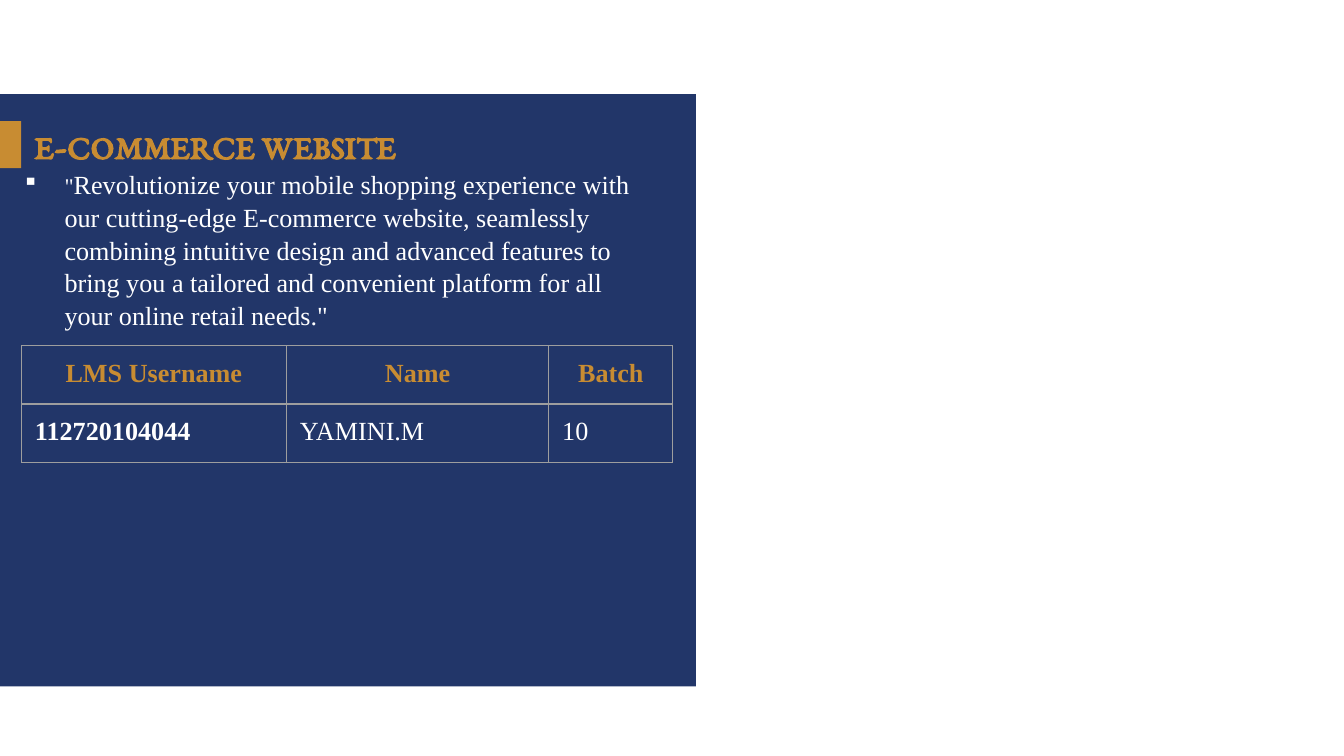
import pptx
import pptx.util
import pptx.dml.color
import pptx.enum.shapes
import pptx.enum.text
import pptx.oxml
import pptx.oxml.ns

Pt = pptx.util.Pt
RGB = pptx.dml.color.RGBColor
ALIGN = pptx.enum.text.PP_ALIGN
ANCHOR = pptx.enum.text.MSO_ANCHOR

NAVY = RGB(0x22, 0x36, 0x69)
GOLD = RGB(0xC8, 0x8C, 0x32)
WHITE = RGB(0xFF, 0xFF, 0xFF)
GREY = RGB(0x9E, 0x9E, 0x9E)

SERIF = "Times New Roman"
HEAD = {"name": "EB Garamond", "size": Pt(18.3), "bold": True, "color": GOLD}
BODY = {"name": SERIF, "size": Pt(14), "bold": False, "color": WHITE}
BOLD = {**BODY, "bold": True}
LABEL = {**BOLD, "color": GOLD}
QUOTE = {**BODY, "size": Pt(12)}
FRAME = {"word_wrap": True, "margin_left": Pt(7.2), "margin_right": Pt(7.2),
         "margin_top": Pt(3.6), "margin_bottom": Pt(3.6)}
CELL = {"margin_left": Pt(7.2), "margin_right": Pt(7.2),
        "margin_top": Pt(7.2), "margin_bottom": Pt(7.2)}

PITCH = (
    "Revolutionize your mobile shopping experience with our cutting-edge "
    "E-commerce website, seamlessly combining intuitive design and advanced "
    "features to bring you a tailored and convenient platform for all your "
    'online retail needs."'
)
ROWS = [["LMS Username", "Name", "Batch"], ["112720104044", "YAMINI.M", "10"]]
COLS = [142, 140.5, 66.5]


def apply(item, form):
    for key, val in form.items():
        if key == "color":
            item.color.rgb = val
        else:
            setattr(item, key, val)


def add_run(para, text, form):
    run = para.add_run()
    run.text = text
    apply(run.font, form)


def add_xml(parent, tag, body):
    space = pptx.oxml.ns.nsdecls("a")
    parent.append(pptx.oxml.parse_xml(f"<a:{tag} {space}{body}"))


def add_block(slide, box, color):
    kind = pptx.enum.shapes.MSO_SHAPE.RECTANGLE
    block = slide.shapes.add_shape(kind, *map(Pt, box))
    block.shadow.inherit = False
    block.fill.solid()
    block.fill.fore_color.rgb = color
    block.line.fill.background()


def add_frame(slide, box, anchor):
    frame = slide.shapes.add_textbox(*map(Pt, box)).text_frame
    apply(frame, {**FRAME, "vertical_anchor": anchor})
    return frame.paragraphs[0]


def add_title(slide, box):
    left, top, width, height = box
    # Gold tab at the slide edge
    add_block(slide, (0, top + 0.7, left, 25.2), GOLD)
    para = add_frame(slide, box, ANCHOR.MIDDLE)
    add_run(para, "E-COMMERCE WEBSITE", HEAD)


def add_pitch(slide, box):
    para = add_frame(slide, box, ANCHOR.TOP)
    para.line_spacing = 1.05
    # Square bullet with a hanging indent
    props = para._p.get_or_add_pPr()
    indent = Pt(22.5)
    props.set("marL", str(indent))
    props.set("indent", str(-indent))
    add_xml(props, "buClr", f'><a:srgbClr val="{WHITE}"/></a:buClr>')
    add_xml(props, "buChar", ' char="▪"/>')
    add_run(para, '"', QUOTE)
    add_run(para, PITCH, BODY)


def add_edges(cell):
    props = cell._tc.get_or_add_tcPr()
    for tag in ("lnL", "lnR", "lnT", "lnB"):
        add_xml(props, tag, f' w="{Pt(0.75)}"><a:solidFill>'
                f'<a:srgbClr val="{GREY}"/></a:solidFill></a:{tag}>')


def add_grid(slide, box):
    shape = slide.shapes.add_table(len(ROWS), len(COLS), *map(Pt, box))
    table = shape.table
    apply(table, {"first_row": False, "horz_banding": False})
    for col, width in zip(table.columns, COLS):
        col.width = Pt(width)
    for r, row in enumerate(ROWS):
        table.rows[r].height = Pt(box[3] / len(ROWS))
        for c, text in enumerate(row):
            cell = table.cell(r, c)
            apply(cell, CELL)
            add_edges(cell)
            cell.fill.background()
            para = cell.text_frame.paragraphs[0]
            para.alignment = ALIGN.CENTER if r == 0 else ALIGN.LEFT
            form = LABEL if r == 0 else BOLD if c == 0 else BODY
            add_run(para, text, form)


def add_panel(slide, box):
    left, top, width, height = box
    add_block(slide, box, NAVY)
    # Heading, pitch and student table, from top to bottom
    add_title(slide, (left + 11.4, top + 13.8, 269.3, 27.2))
    add_pitch(slide, (left + 5, top + 35.3, 348.5, 77.8))
    add_grid(slide, (left + 11.5, top + 134.8, sum(COLS), 60))


def main():
    deck = pptx.Presentation()
    apply(deck, {"slide_width": Pt(720), "slide_height": Pt(405)})
    slide = deck.slides.add_slide(deck.slide_layouts[6])
    add_panel(slide, (0, 50.4, 372.8, 317.4))
    deck.save("out.pptx")


if __name__ == "__main__":
    main()
